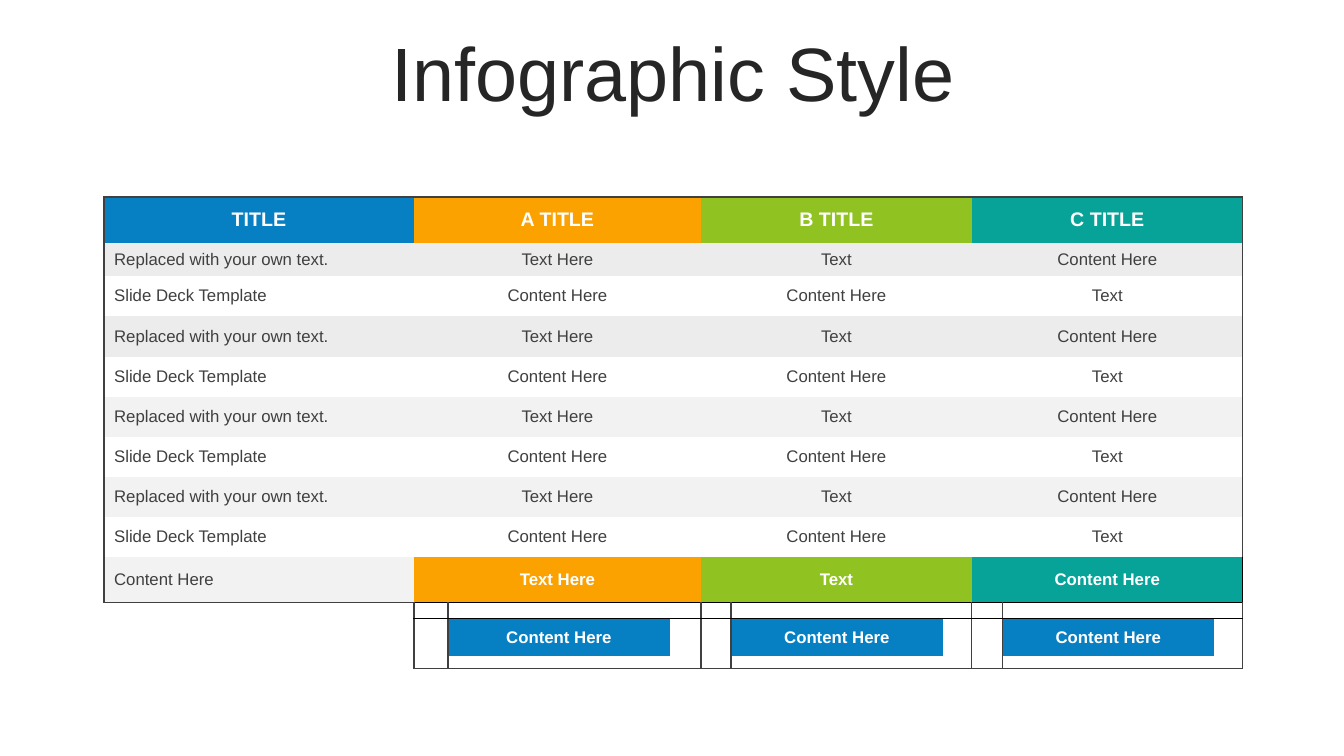
from dataclasses import dataclass
from typing import Any

from lxml.etree import SubElement
from pptx import Presentation
from pptx.dml.color import RGBColor as Rgb
from pptx.enum.text import MSO_ANCHOR as Anchor
from pptx.enum.text import MSO_AUTO_SIZE as Fit
from pptx.enum.text import PP_ALIGN as Align
from pptx.oxml.ns import qn
from pptx.util import Emu, Pt

SCALE = 914400 / 100.8  # EMU in one px
FONT = "Arial"
PLAIN = "{2D5ABB26-0587-4C30-8999-92F81FD0307C}"  # no style, no grid
COLORS = {
    "blue": "0680C3", "orange": "FBA200", "green": "90C221", "teal": "07A398",
    "gray": "ECECEC", "pale": "F2F2F2", "white": "FFFFFF",
    "dark": "404040", "black": "000000", "title": "262626",
}
HUES = ("orange", "green", "teal")

COLS = (310, 34, 222, 31, 30, 212, 29, 31, 211, 29)
ROWS = (46, 33, 40, 41, 40, 40, 40, 40, 40, 46, 16, 37, 13)
LAST = 9  # last row of the main grid
FOOT = LAST + 1


@dataclass(frozen=True)
class Look:
    size: int
    color: str
    bold: bool = False
    align: Align = Align.CENTER


@dataclass(frozen=True)
class Line:
    texts: tuple[str, ...]
    fills: tuple[str, ...]
    label: Look
    value: Look


HEAD = Look(14, "white", True)
BOLD = Look(12, "white", True)
BODY = Look(12, "dark")
LEFT = Look(12, "dark", align=Align.LEFT)

ODD = ("Replaced with your own text.", "Text Here", "Text", "Content Here")
EVEN = ("Slide Deck Template", "Content Here", "Content Here", "Text")


def px(n: int) -> Emu:
    return Emu(round(n * SCALE))


def rgb(name: str) -> Rgb:
    return Rgb.from_string(COLORS[name])


def write(frame: Any, text: str, look: Look) -> Any:
    para = frame.paragraphs[0]
    para.alignment = look.align
    run = para.add_run()
    run.text = text
    run.font.name = FONT
    run.font.size = Pt(look.size)
    run.font.bold = look.bold
    run.font.color.rgb = rgb(look.color)
    return para


def edges(row: int, col: int) -> dict[str, str]:
    """Border colours by side, in the order the schema wants."""
    found: dict[str, str] = {}
    if row < FOOT:
        if col == 0:
            found["L"] = "dark"
        if col in (7, 9):
            found["R"] = "black" if row == LAST else "dark"
        if row == 0:
            found["T"] = "dark"
        if row == LAST:
            found["B"] = "black" if col else "dark"
        return found
    if col % 3 == 1:
        found["L"] = "dark"
    if col % 3 == 0:
        found["R"] = "dark"
    if row == FOOT:
        found["T"] = "black" if col else "dark"
    if row == len(ROWS) - 1 and col:
        found["B"] = "dark"
    return found


def border(cell: Any, sides: dict[str, str]) -> None:
    props = cell._tc.get_or_add_tcPr()
    for side, name in sides.items():
        line = SubElement(props, qn(f"a:ln{side}"), w=str(Pt(1)))
        fill = SubElement(line, qn("a:solidFill"))
        SubElement(fill, qn("a:srgbClr"), val=COLORS[name])


def paint(cell: Any, fill: str) -> None:
    if fill:
        cell.fill.solid()
        cell.fill.fore_color.rgb = rgb(fill)
    else:
        cell.fill.background()


def shrink(cell: Any) -> None:
    """Keep an empty cell from stretching its row."""
    cell.margin_top = cell.margin_bottom = 0
    para = cell.text_frame.paragraphs[0]._p
    SubElement(para, qn("a:endParaRPr"), sz="100")


def lines() -> list[Line]:
    out = [Line(("TITLE", "A TITLE", "B TITLE", "C TITLE"),
                ("blue", *HUES), HEAD, HEAD)]
    for row in range(1, LAST):
        band = "gray" if row < 5 else "pale"
        fill = band if row % 2 else ""
        out.append(Line(ODD if row % 2 else EVEN, (fill,) * 4, LEFT, BODY))
    out.append(Line(("Content Here", "Text Here", "Text", "Content Here"),
                    ("pale", *HUES), LEFT, BOLD))
    return out


def build(slide: Any) -> None:
    frame = slide.shapes.add_table(len(ROWS), len(COLS), px(104), px(197),
                                   px(sum(COLS)), px(sum(ROWS)))
    grid = frame.table
    grid.first_row = grid.horz_banding = False
    grid._tbl.tblPr.find(qn("a:tableStyleId")).text = PLAIN
    for col, wide in zip(grid.columns, COLS):
        col.width = px(wide)
    for row, high in zip(grid.rows, ROWS):
        row.height = px(high)

    # Merged areas
    for row in range(FOOT):
        for col in (1, 4, 7):
            grid.cell(row, col).merge(grid.cell(row, col + 2))
    grid.cell(FOOT, 0).merge(grid.cell(len(ROWS) - 1, 0))

    # Text and fill by cell
    plan: dict[tuple[int, int], tuple[str, str, Look]] = {}
    for row, line in enumerate(lines()):
        for i, col in enumerate((0, 1, 4, 7)):
            look = line.value if col else line.label
            plan[row, col] = (line.texts[i], line.fills[i], look)
    for col in (2, 5, 8):
        plan[FOOT + 1, col] = ("Content Here", "blue", BOLD)

    for row in range(len(ROWS)):
        for col in range(len(COLS)):
            cell = grid.cell(row, col)
            cell.vertical_anchor = Anchor.MIDDLE
            border(cell, edges(row, col))
            if (row, col) in plan:
                text, fill, look = plan[row, col]
                paint(cell, fill)
                write(cell.text_frame, text, look)
            else:
                paint(cell, "white" if row >= FOOT and col else "")
                shrink(cell)


def main() -> None:
    deck = Presentation()
    deck.slide_width, deck.slide_height = px(1344), px(756)
    slide = deck.slides.add_slide(deck.slide_layouts[5])

    # Title
    title = slide.shapes.title
    title.left, title.top = px(35), px(37)
    title.width, title.height = px(1276), px(80)
    frame = title.text_frame
    frame.word_wrap = True
    frame.auto_size = Fit.NONE
    frame.vertical_anchor = Anchor.MIDDLE
    para = write(frame, "Infographic Style", Look(54, "title"))
    para.line_spacing = 0.9
    para.space_before = Pt(10)

    # Table
    build(slide)
    deck.save("out.pptx")


if __name__ == "__main__":
    main()
